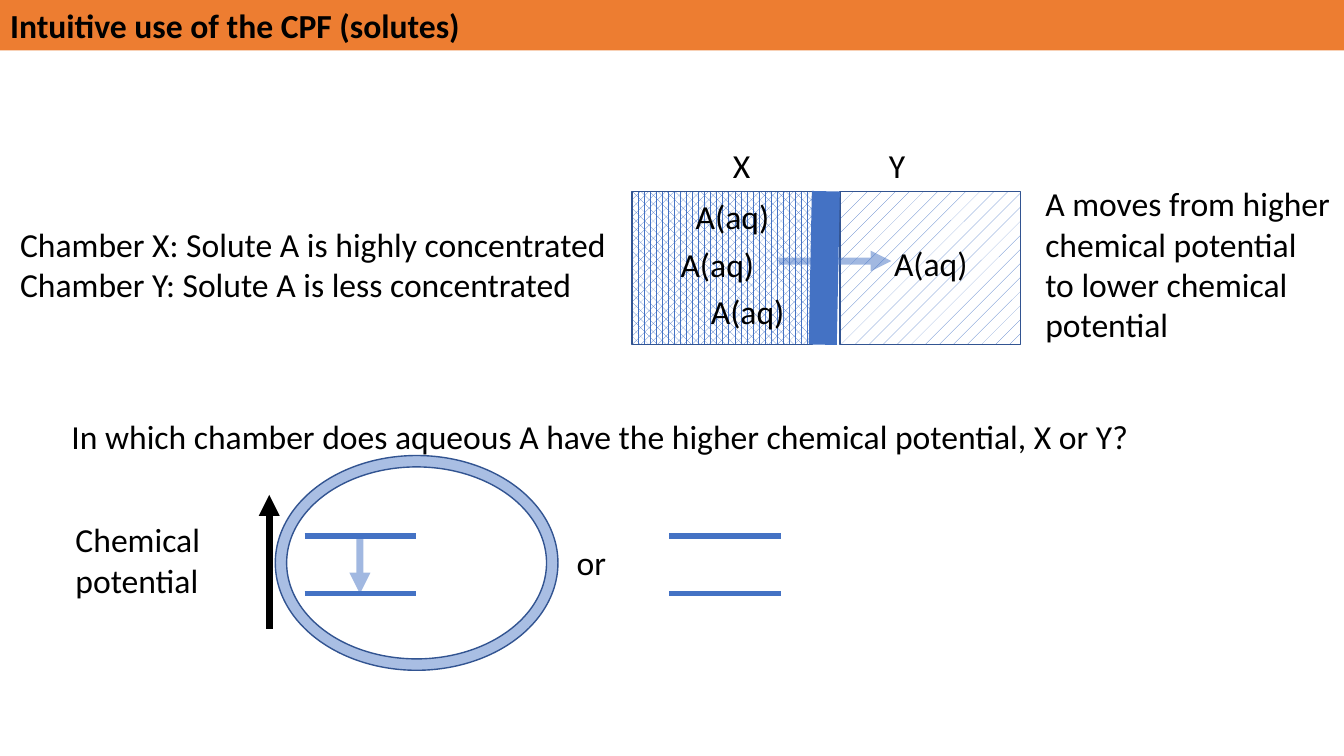
import dataclasses

import pptx
import pptx.dml.color
import pptx.enum.dml
import pptx.enum.shapes
import pptx.enum.text
import pptx.oxml
import pptx.oxml.ns
import pptx.util
from lxml import etree

ORANGE = pptx.dml.color.RGBColor(0xED, 0x7D, 0x31)
BLUE = pptx.dml.color.RGBColor(0x44, 0x72, 0xC4)
NAVY = pptx.dml.color.RGBColor(0x32, 0x54, 0x91)
BLACK = pptx.dml.color.RGBColor(0, 0, 0)
WHITE = pptx.dml.color.RGBColor(255, 255, 255)
SLIDE_WIDTH, SLIDE_HEIGHT = 13.33, 7.5


@dataclasses.dataclass
class Region:
    """A box in inches, divided into 100 columns and 100 rows."""
    left: float
    top: float
    width: float
    height: float

    def point(self, column, row):
        """Return the slide position of a grid point."""
        return (pptx.util.Inches(self.left + self.width * column / 100),
                pptx.util.Inches(self.top + self.height * row / 100))

    def area(self, column, row, columns, rows):
        """Return left, top, width and height of a block of cells."""
        return (*self.point(column, row),
                pptx.util.Inches(self.width * columns / 100),
                pptx.util.Inches(self.height * rows / 100))


def format_text(frame, bold=False):
    """Give all text in a frame the slide's type style."""
    frame.word_wrap = True
    for paragraph in frame.paragraphs:
        paragraph.alignment = pptx.enum.text.PP_ALIGN.LEFT
        for run in paragraph.runs:
            run.font.name = "Calibri"
            run.font.size = pptx.util.Pt(24)
            run.font.bold = bold
            run.font.color.rgb = BLACK


def add_label(slide, text, area):
    """Add a wrapped text box."""
    frame = slide.shapes.add_textbox(*area).text_frame
    frame.text = text
    format_text(frame)


def set_alpha(parent, percent):
    """Make the solid colour below an element partly transparent."""
    colour = parent.find(".//" + pptx.oxml.ns.qn("a:srgbClr"))
    alpha = etree.SubElement(colour, pptx.oxml.ns.qn("a:alpha"))
    alpha.set("val", str(percent * 1000))


def add_line(slide, start, end, weight, colour=BLUE, arrow=False, opacity=100):
    """Add a straight line, optionally with an arrowhead at its end."""
    line = slide.shapes.add_connector(
        pptx.enum.shapes.MSO_CONNECTOR.STRAIGHT, *start, *end)
    line.line.color.rgb = colour
    line.line.width = pptx.util.Pt(weight)
    outline = line.line._get_or_add_ln()
    if opacity < 100:
        set_alpha(outline, opacity)
    if arrow:
        head = etree.SubElement(outline, pptx.oxml.ns.qn("a:tailEnd"))
        head.set("type", "triangle")
    etree.SubElement(line._element.spPr, pptx.oxml.ns.qn("a:effectLst"))


def add_outlined(slide, preset, area):
    """Add a preset shape with a thin navy outline and no shadow."""
    shape = slide.shapes.add_shape(preset, *area)
    shape.shadow.inherit = False
    shape.line.color.rgb = NAVY
    shape.line.width = pptx.util.Pt(1)
    return shape


def add_title(slide, region):
    """Turn the title placeholder into the orange heading band."""
    title = slide.shapes.title
    title.left, title.top, title.width, title.height = region.area(0, 0, 100, 100)
    title.fill.solid()
    title.fill.fore_color.rgb = ORANGE
    title.text_frame.text = "Intuitive use of the CPF (solutes)"
    title.text_frame.vertical_anchor = pptx.enum.text.MSO_ANCHOR.TOP
    title.text_frame.auto_size = pptx.enum.text.MSO_AUTO_SIZE.NONE
    format_text(title.text_frame, bold=True)


def add_chambers(slide, region):
    """Draw the two chambers, their membrane, solutes and flow arrow."""
    patterns = pptx.enum.dml.MSO_PATTERN
    for column, pattern in ((53.5, patterns.PERCENT_5), (0, patterns.PERCENT_60)):
        chamber = add_outlined(slide, pptx.enum.shapes.MSO_SHAPE.RECTANGLE,
                               region.area(column, 25, 46.5, 75))
        chamber.fill.patterned()
        chamber.fill.pattern = pattern
        chamber.fill.fore_color.rgb = BLUE
        chamber.fill.back_color.rgb = WHITE
    add_line(slide, region.point(49.9, 25), region.point(49.1, 100), 20)
    for name, column in (("X", 23.4), ("Y", 63.6)):
        add_label(slide, name, region.area(column, 0, 19, 25))
    for column, row in ((13.8, 25), (64.9, 47.8), (17.7, 71.4), (9.9, 48.3)):
        add_label(slide, "A(aq)", region.area(column, row, 31.2, 25))
    add_line(slide, region.point(37.7, 59.1), region.point(66.8, 59.1), 5,
             arrow=True, opacity=49)


def add_question(slide, region):
    """Draw the question, both energy-level pairs and the circled answer."""
    add_label(slide, "In which chamber does aqueous A have the higher "
              "chemical potential, X or Y?", region.area(0, 0, 100, 19.5))
    upper, lower = 48.25, 70.43
    for column in (20.46, 51.19):
        for row in (upper, lower):
            add_line(slide, region.point(column, row),
                     region.point(column + 9.42, row), 4)
    add_label(slide, "Chemical potential", region.area(0.34, 39.7, 15.9, 35.4))
    add_label(slide, "or", region.area(42.53, 48.6, 11, 19.5))
    answer = add_outlined(slide, pptx.enum.shapes.MSO_SHAPE.DONUT,
                          region.area(18, 17.1, 23.8, 82.9))
    answer.adjustments[0] = 0.053
    answer.fill.solid()
    answer.fill.fore_color.rgb = BLUE
    set_alpha(answer._element.spPr.find(pptx.oxml.ns.qn("a:solidFill")), 46)
    add_line(slide, region.point(25.13, 49), region.point(25.13, lower), 5,
             arrow=True, opacity=49)
    add_line(slide, region.point(17.49, 84), region.point(17.49, 32.3), 5,
             BLACK, arrow=True)


def add_remarks(slide, region):
    """Place the statements on either side of the chambers."""
    add_label(slide, "A moves from higher chemical potential to lower "
              "chemical potential", region.area(77.04, 23.6, 22.73, 22.93))
    add_label(slide, "Chamber X: Solute A is highly concentrated\n"
              "Chamber Y: Solute A is less concentrated",
              region.area(0.75, 28.93, 45.84, 12.13))


def main():
    """Build and save the slide."""
    presentation = pptx.Presentation()
    presentation.slide_width = pptx.util.Inches(SLIDE_WIDTH)
    presentation.slide_height = pptx.util.Inches(SLIDE_HEIGHT)
    slide = presentation.slides.add_slide(presentation.slide_layouts[5])
    add_title(slide, Region(0, 0, SLIDE_WIDTH, 0.5))
    add_chambers(slide, Region(6.27, 1.39, 3.85, 2.03))
    add_question(slide, Region(0.61, 4.08, 11.78, 2.57))
    add_remarks(slide, Region(0, 0, SLIDE_WIDTH, SLIDE_HEIGHT))
    presentation.save("out.pptx")


if __name__ == "__main__":
    main()
